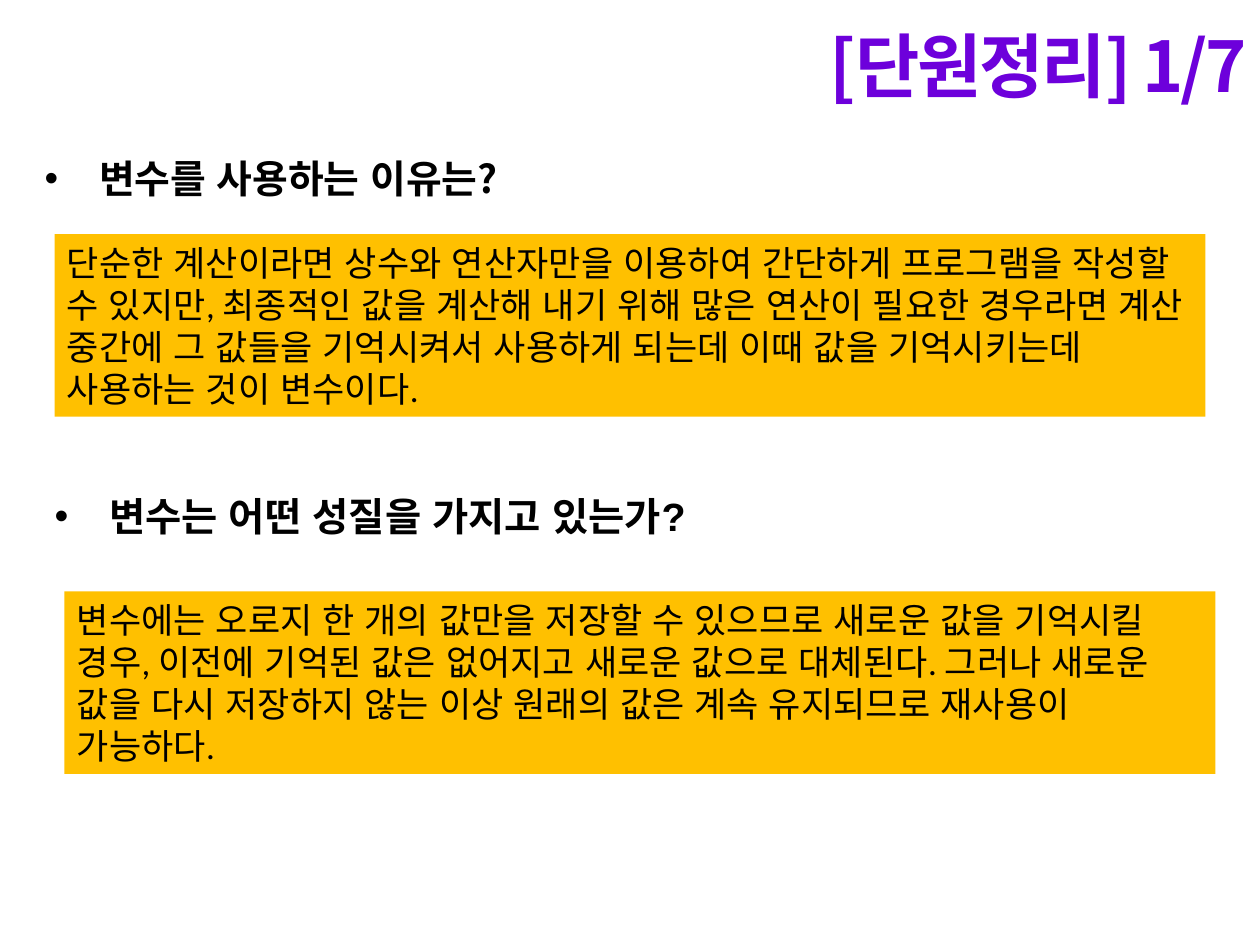
from lxml import etree
from pptx import Presentation
from pptx.dml.color import RGBColor
from pptx.enum.shapes import MSO_SHAPE
from pptx.enum.text import MSO_AUTO_SIZE, PP_ALIGN
from pptx.oxml.ns import qn
from pptx.util import Cm, Pt

RECT = MSO_SHAPE.RECTANGLE
GROW = MSO_AUTO_SIZE.SHAPE_TO_FIT_TEXT
LEFT, RIGHT = PP_ALIGN.LEFT, PP_ALIGN.RIGHT
COLORS = {"title": "6D00DB", "text": "000000", "box": "FFC000"}
KOREAN = "Noto Sans CJK KR"
WIDTH = Cm(23.2)
INDENT = Cm(1.1)


def write(shape, text, size, face, color="text", bold=False, align=LEFT,
          asian="Arial"):
    """Fill a shape with one styled paragraph; return it and its font XML."""
    shape.text_frame.word_wrap = True
    para = shape.text_frame.paragraphs[0]
    para.text = text
    para.alignment = align
    font = para.font
    font.size, font.name, font.bold = Pt(size), face, bold
    font.color.rgb = RGBColor.from_string(COLORS[color])
    style = para._p.pPr.find(qn("a:defRPr"))
    etree.SubElement(style, qn("a:ea")).set("typeface", asian)
    return para, style


def add_label(left, top, width, height):
    """Add a text box without margins."""
    label = slide.shapes.add_textbox(left, top, width, height)
    frame = label.text_frame
    frame.margin_left = frame.margin_right = 0
    frame.margin_top = frame.margin_bottom = 0
    return label


deck = Presentation()
deck.slide_width, deck.slide_height = Cm(25.4), Cm(19.05)
slide = deck.slides.add_slide(deck.slide_layouts[6])

title = add_label(0, Cm(0.64), deck.slide_width, Cm(2.08))
para, style = write(title, "[단원정리] 1/7 ", 40, KOREAN, "title", True, RIGHT,
                    KOREAN)
para.line_spacing = 0.9
style.set("spc", "-150")

# Question: left, top, size, face; answer: left, top
topics = [
    ("변수를 사용하는 이유는?", 0.9, 3.12, 22.2, KOREAN,
     "단순한 계산이라면 상수와 연산자만을 이용하여 간단하게 프로그램을 작성할 수 있지만, "
     "최종적인 값을 계산해 내기 위해 많은 연산이 필요한 경우라면 계산 중간에 그 값들을 "
     "기억시켜서 사용하게 되는데 이때 값을 기억시키는데 사용하는 것이 변수이다.",
     1.1, 4.72),
    ("변수는 어떤 성질을 가지고 있는가?", 1.1, 9.93, 22.5, "Arial",
     "변수에는 오로지 한 개의 값만을 저장할 수 있으므로 새로운 값을 기억시킬 경우, "
     "이전에 기억된 값은 없어지고 새로운 값으로 대체된다. 그러나 새로운 값을 다시 "
     "저장하지 않는 이상 원래의 값은 계속 유지되므로 재사용이 가능하다.",
     1.3, 11.92),
]

for ask, ask_x, ask_y, size, face, reply, box_x, box_y in topics:
    label = add_label(Cm(ask_x), Cm(ask_y), WIDTH, Cm(1))
    para, style = write(label, ask, size, face, bold=True)
    para.space_before = Pt(4.5)
    props = para._p.pPr
    props.set("marL", str(INDENT))
    props.set("indent", str(-INDENT))
    for tag, key, value in (("a:buFont", "typeface", "Arial"),
                            ("a:buChar", "char", "•")):
        mark = etree.Element(qn(tag))
        mark.set(key, value)
        style.addprevious(mark)

    box = slide.shapes.add_shape(RECT, Cm(box_x), Cm(box_y), WIDTH, Cm(3.68))
    box.shadow.inherit = False
    box.fill.solid()
    box.fill.fore_color.rgb = RGBColor.from_string(COLORS["box"])
    box.line.fill.background()
    write(box, reply, 20, "Calibri")
    box.text_frame.auto_size = GROW

deck.save("out.pptx")
